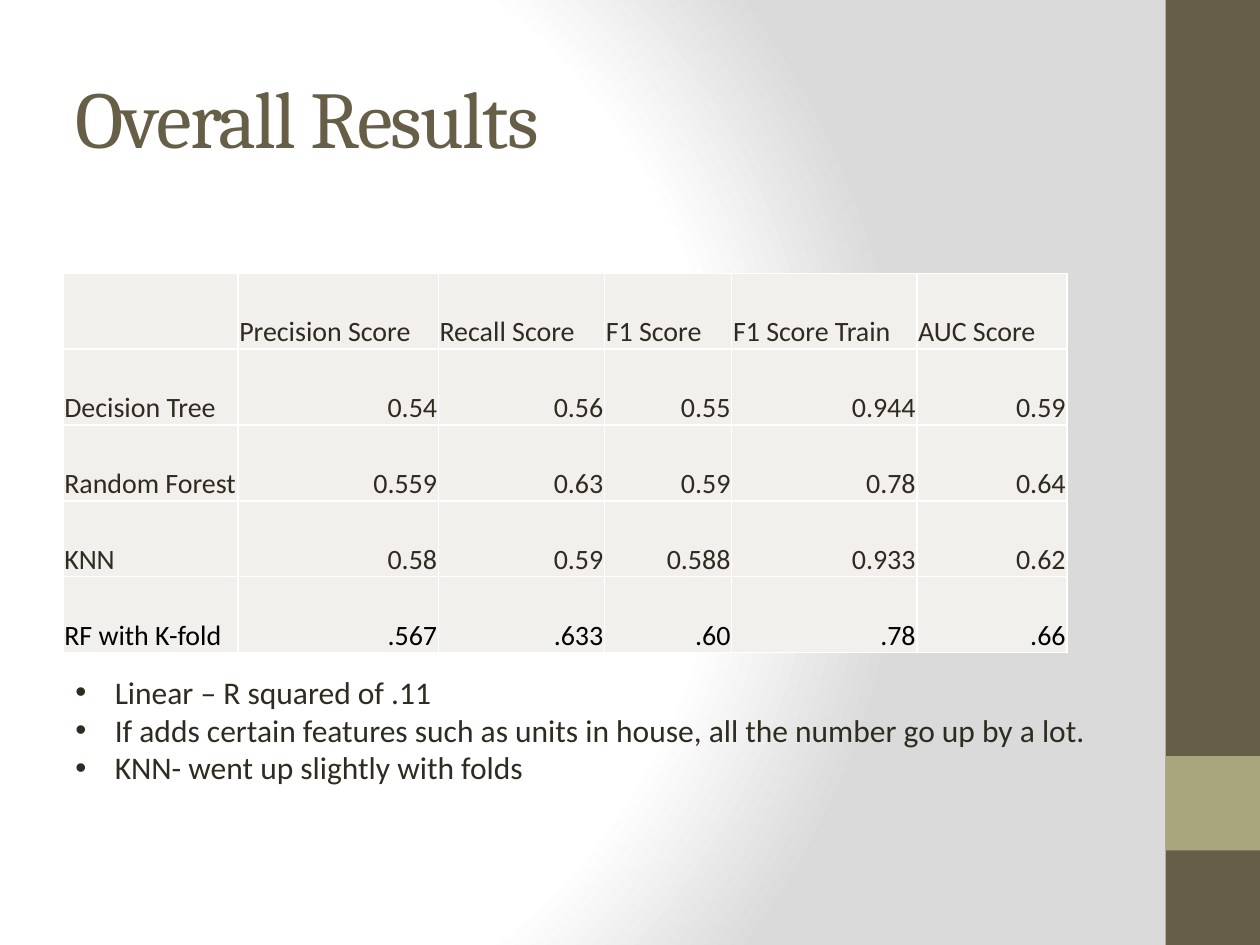
from lxml import etree
from pptx import Presentation
from pptx.dml.color import RGBColor
from pptx.enum import shapes, text
from pptx.oxml import parse_xml
from pptx.oxml.ns import nsdecls, qn
from pptx.util import Pt

BROWN = RGBColor(0x67, 0x5E, 0x47)
OLIVE = RGBColor(0xA9, 0xA5, 0x7C)
INK = RGBColor(0x2F, 0x2B, 0x20)
BLACK = RGBColor(0, 0, 0)
CELL = RGBColor(0xF1, 0xF0, 0xEC)
WHITE = RGBColor(0xFF, 0xFF, 0xFF)
GREY = RGBColor(0xDA, 0xDA, 0xDA)

COLUMN_WIDTHS = (100, 114.5, 95, 72.7, 105.8, 85.7)
ROW_HEIGHT = 43.35
SCORES = (
    ("", "Precision Score", "Recall Score", "F1 Score", "F1 Score Train", "AUC Score"),
    ("Decision Tree", "0.54", "0.56", "0.55", "0.944", "0.59"),
    ("Random Forest", "0.559", "0.63", "0.59", "0.78", "0.64"),
    ("KNN", "0.58", "0.59", "0.588", "0.933", "0.62"),
    ("RF with K-fold", ".567", ".633", ".60", ".78", ".66"),
)
NOTES = (
    "Linear – R squared of .11",
    "If adds certain features such as units in house, all the number go up by a lot.",
    "KNN- went up slightly with folds",
)


def set_background(page):
    """Fill the page with a circular gradient, white inside and grey outside."""
    page.background.fill.gradient()
    gradient = page.element.find(".//" + qn("a:gradFill"))
    stops = "".join(
        f'<a:gs pos="{percent * 1000}"><a:srgbClr val="{color}"/></a:gs>'
        for percent, color in ((0, WHITE), (75, WHITE), (100, GREY))
    )
    gradient.getparent().replace(gradient, parse_xml(
        f'<a:gradFill {nsdecls("a")} rotWithShape="1"><a:gsLst>{stops}</a:gsLst>'
        '<a:path path="circle"><a:fillToRect l="20000" t="50000" r="100000" b="50000"/>'
        '</a:path></a:gradFill>'))


def add_bar(page, top, height, color):
    bar = page.shapes.add_shape(
        shapes.MSO_SHAPE.RECTANGLE, Pt(666), Pt(top), Pt(54), Pt(height))
    bar.shadow.inherit = False
    bar.fill.solid()
    bar.fill.fore_color.rgb = color
    bar.line.fill.background()


def format_spans(para, font, size, color):
    for span in para.runs:
        span.font.name = font
        span.font.size = Pt(size)
        span.font.color.rgb = color


def add_text(page, top, height, content):
    box = page.shapes.add_textbox(Pt(36), Pt(top), Pt(600), Pt(height))
    box.text_frame.word_wrap = True
    box.text_frame.text = content
    return box.text_frame


def add_title(page):
    frame = add_text(page, 21.6, 90, "Overall Results")
    frame.vertical_anchor = text.MSO_ANCHOR.MIDDLE
    para = frame.paragraphs[0]
    format_spans(para, "Cambria", 46, BROWN)
    para.runs[0].font._element.set("spc", "-100")


def add_borders(cell):
    properties = cell._tc.get_or_add_tcPr()
    for index, side in enumerate(("lnL", "lnR", "lnT", "lnB")):
        properties.insert(index, parse_xml(
            f'<a:{side} {nsdecls("a")} w="{Pt(1)}"><a:solidFill>'
            f'<a:srgbClr val="{WHITE}"/></a:solidFill></a:{side}>'))


def format_cell(cell, content, color, align):
    cell.text = content
    cell.fill.solid()
    cell.fill.fore_color.rgb = CELL
    cell.vertical_anchor = text.MSO_ANCHOR.BOTTOM
    cell.margin_left = cell.margin_right = cell.margin_top = Pt(0.75)
    cell.margin_bottom = 0
    para = cell.text_frame.paragraphs[0]
    para.alignment = align
    format_spans(para, "Calibri", 16, color)
    add_borders(cell)


def add_score_table(page):
    count = len(SCORES)
    table = page.shapes.add_table(
        count, len(COLUMN_WIDTHS), Pt(36), Pt(156.2),
        Pt(sum(COLUMN_WIDTHS)), Pt(count * ROW_HEIGHT)).table
    table.first_row = table.horz_banding = False
    for column, width in zip(table.columns, COLUMN_WIDTHS):
        column.width = Pt(width)
    for i, values in enumerate(SCORES):
        table.rows[i].height = Pt(ROW_HEIGHT)
        color = BLACK if i == count - 1 else INK
        for j, value in enumerate(values):
            align = text.PP_ALIGN.RIGHT if i and j else text.PP_ALIGN.LEFT
            format_cell(table.cell(i, j), value, color, align)


def add_notes_list(page):
    frame = add_text(page, 380.9, 72.7, "\n".join(NOTES))
    for para in frame.paragraphs:
        format_spans(para, "Calibri", 18, INK)
        properties = para._p.get_or_add_pPr()
        properties.set("marL", str(Pt(22.5)))
        properties.set("indent", str(Pt(-22.5)))
        etree.SubElement(properties, qn("a:buFont")).set("typeface", "Arial")
        etree.SubElement(properties, qn("a:buChar")).set("char", "•")


def main():
    deck = Presentation()
    deck.slide_width, deck.slide_height = Pt(720), Pt(540)
    page = deck.slides.add_slide(deck.slide_layouts[6])
    set_background(page)
    add_bar(page, 0, 540, BROWN)
    add_bar(page, 432, 54, OLIVE)
    add_title(page)
    add_score_table(page)
    add_notes_list(page)
    deck.save("out.pptx")


if __name__ == "__main__":
    main()
